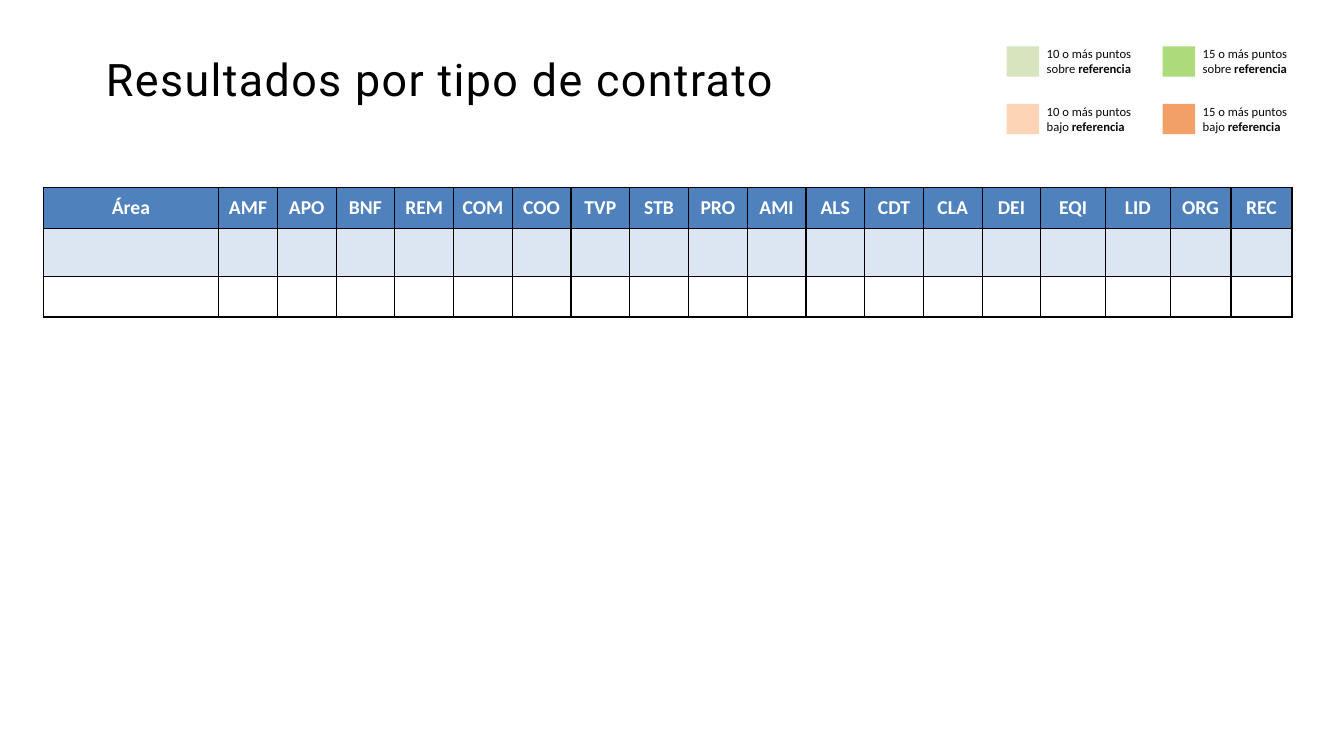
import pptx
import pptx.util
import pptx.dml.color
import pptx.enum.shapes
import pptx.enum.text
import pptx.oxml
import pptx.oxml.ns

Cm, Pt = pptx.util.Cm, pptx.util.Pt
RGBColor = pptx.dml.color.RGBColor
MIDDLE = pptx.enum.text.MSO_ANCHOR.MIDDLE
PP_ALIGN = pptx.enum.text.PP_ALIGN

BLACK = RGBColor(0x00, 0x00, 0x00)
WHITE = RGBColor(0xFF, 0xFF, 0xFF)
INK = RGBColor(0x07, 0x08, 0x0B)
HEADER_BLUE = RGBColor(0x4F, 0x81, 0xBD)
PALE_BLUE = RGBColor(0xDC, 0xE6, 0xF2)
PALE_GREEN = RGBColor(0xD7, 0xE4, 0xBD)
GREEN = RGBColor(0xAD, 0xDB, 0x7B)
PALE_ORANGE = RGBColor(0xFD, 0xD4, 0xB5)
ORANGE = RGBColor(0xF2, 0xA0, 0x68)


def add_run(p, text, size, color, font="Calibri", bold=False, spacing=None):
    """Append a formatted run; spacing is in hundredths of a point."""
    r = p.add_run()
    r.text = text
    r.font.size = Pt(size)
    r.font.name = font
    r.font.bold = bold
    r.font.color.rgb = color
    if spacing is not None:
        r.font._element.set("spc", str(spacing))


def set_borders(cell, color, width):
    tcPr = cell._tc.get_or_add_tcPr()
    for side in ("lnL", "lnR", "lnT", "lnB"):
        tcPr.append(pptx.oxml.parse_xml(
            f'<a:{side} {pptx.oxml.ns.nsdecls("a")} w="{Pt(width)}">'
            f'<a:solidFill><a:srgbClr val="{color}"/></a:solidFill></a:{side}>'))


prs = pptx.Presentation()
prs.slide_width, prs.slide_height = Cm(33.87), Cm(19.05)
s = prs.slides.add_slide(prs.slide_layouts[5])

# Title
title = s.shapes.title
title.left, title.top, title.width, title.height = Cm(2.67), Cm(0.89), Cm(23.44), Cm(2.34)
tf = title.text_frame
tf.auto_size = pptx.enum.text.MSO_AUTO_SIZE.NONE
tf.vertical_anchor = MIDDLE
tf.margin_left = tf.margin_right = tf.margin_top = tf.margin_bottom = 0
p = tf.paragraphs[0]
p.alignment = PP_ALIGN.LEFT
p.line_spacing = 0.9
add_run(p, "Resultados por tipo de contrato", 32, BLACK, font="Roboto", spacing=100)

# Results table
headers = ["Área", "AMF", "APO", "BNF", "REM", "COM", "COO", "TVP", "STB", "PRO",
           "AMI", "ALS", "CDT", "CLA", "DEI", "EQI", "LID", "ORG", "REC"]
col_widths = [4.42] + [1.48] * 14 + [1.63, 1.63, 1.53, 1.54]
row_heights = [1.03, 1.21, 1.03]
row_fills = [HEADER_BLUE, PALE_BLUE, None]

table = s.shapes.add_table(len(row_heights), len(headers), Cm(1.09), Cm(4.72),
                           Cm(sum(col_widths)), Cm(sum(row_heights))).table
for column, width in zip(table.columns, col_widths):
    column.width = Cm(width)
for row, height, fill in zip(table.rows, row_heights, row_fills):
    row.height = Cm(height)
    for cell in row.cells:
        cell.margin_left = cell.margin_right = cell.margin_top = cell.margin_bottom = 0
        cell.vertical_anchor = MIDDLE
        set_borders(cell, BLACK, 1)
        if fill is None:
            cell.fill.background()
        else:
            cell.fill.solid()
            cell.fill.fore_color.rgb = fill
for cell, header in zip(table.rows[0].cells, headers):
    p = cell.text_frame.paragraphs[0]
    p.alignment = PP_ALIGN.CENTER
    add_run(p, header, 14, WHITE, bold=True)

# Colour legend: columns are the points, rows are above and below the reference
legend = [
    (0, 0, PALE_GREEN, "10 o más puntos sobre "),
    (1, 0, GREEN, "15 o más puntos sobre "),
    (0, 1, PALE_ORANGE, "10 o más puntos bajo "),
    (1, 1, ORANGE, "15 o más puntos bajo "),
]
for col, row, color, label in legend:
    left, top = 25.37 + 3.93 * col, 1.17 + 1.45 * row
    swatch = s.shapes.add_shape(pptx.enum.shapes.MSO_SHAPE.RECTANGLE,
                                Cm(left), Cm(top), Cm(0.82), Cm(0.76))
    swatch.shadow.inherit = False
    swatch.fill.solid()
    swatch.fill.fore_color.rgb = color
    swatch.line.fill.background()

    box = s.shapes.add_textbox(Cm(left + 0.76), Cm(top - 0.13), Cm(2.84), Cm(1.02))
    tf = box.text_frame
    tf.word_wrap = True
    tf.auto_size = pptx.enum.text.MSO_AUTO_SIZE.SHAPE_TO_FIT_TEXT
    p = tf.paragraphs[0]
    add_run(p, label, 9, INK)
    add_run(p, "referencia", 9, INK, bold=True)

prs.save("out.pptx")
